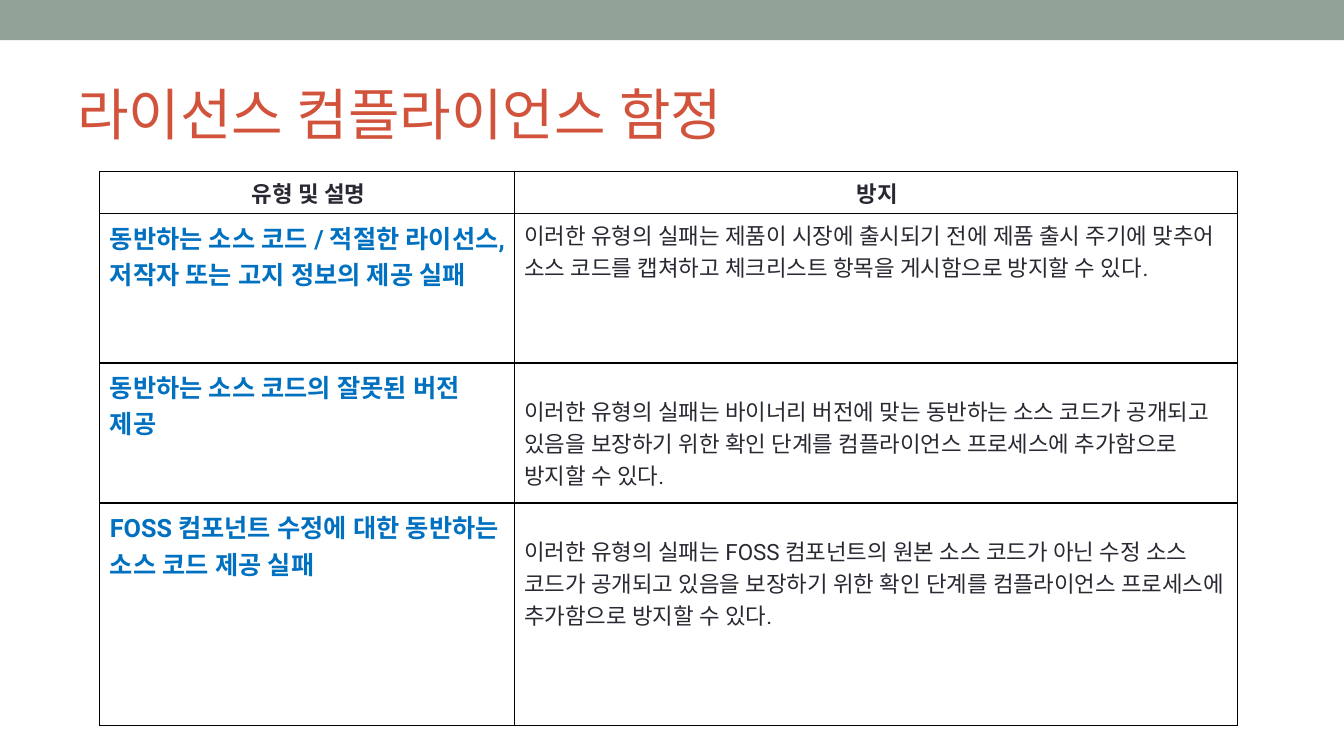
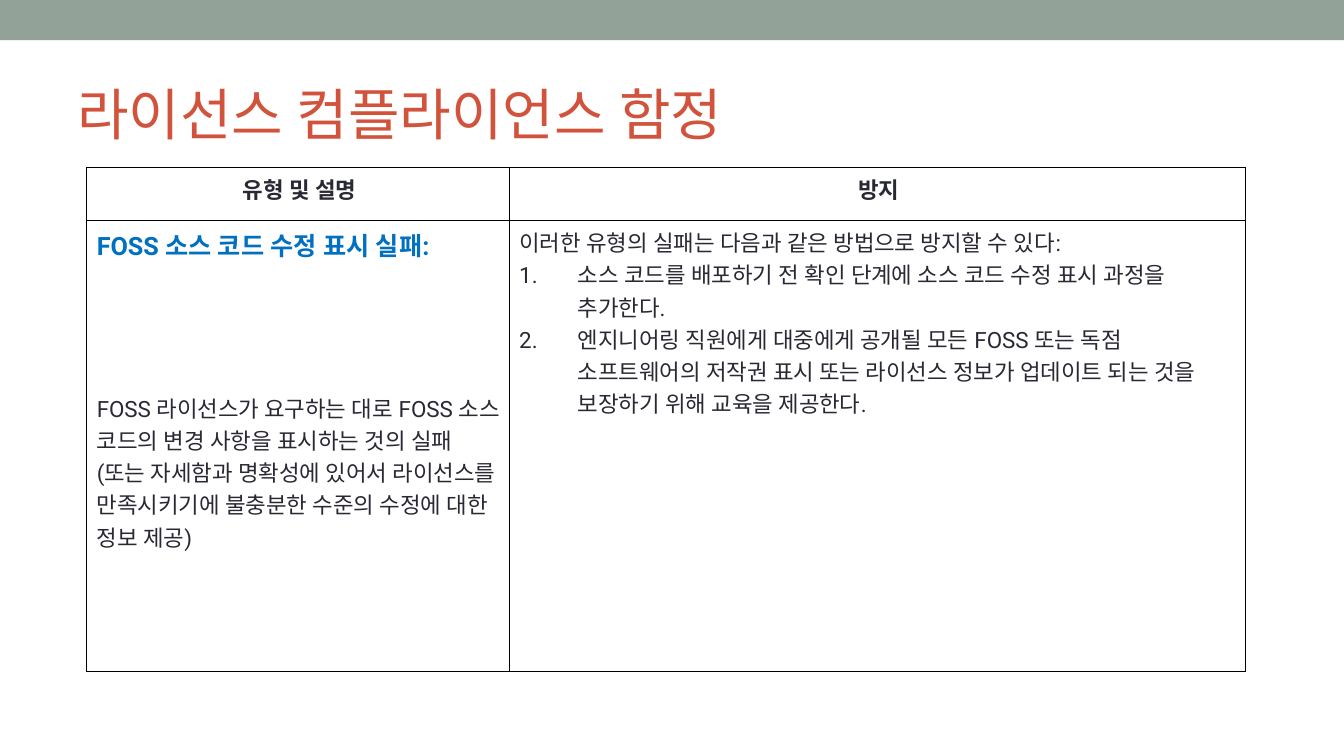
"""Build two slides on licence compliance pitfalls, each with a bordered table."""
from lxml.etree import SubElement
from pptx import Presentation
from pptx.dml.color import RGBColor
from pptx.enum.shapes import MSO_SHAPE as Shape
from pptx.enum.text import MSO_ANCHOR as Anchor, PP_ALIGN as Align
from pptx.oxml.ns import qn
from pptx.util import Inches, Pt

COLOURS = {
    "band": "93A299",
    "title": "D2533C",
    "text": "292934",
    "topic": "0070C0",
    "border": "000000",
}
FONT = "Roboto"
TITLE = "라이선스 컴플라이언스 함정"
HEADERS = ["유형 및 설명", "방지"]
STYLES = {
    "title": (40, "title", False, 1),
    "header": (16, "text", True, 1.24),
    "topic": (18, "topic", True, 1.24),
    "body": (16, "text", False, 1.24),
    "numbered": (16, "text", False, 1.24),
}
TOP_MARGIN = 0.04
LOWERED_MARGIN = 0.3
RIGHT_MARGIN = 0.07

TABLES = [
    {
        "at": (0.99, 1.7),
        "columns": [4.11, 7.17],
        "heights": [0.42, 1.48, 1.39, 2.21],
        "topic_gap": 0,
        "margins": [TOP_MARGIN, LOWERED_MARGIN, LOWERED_MARGIN],
        "rows": [
            [
                [("topic", "동반하는 소스 코드 / 적절한 라이선스, 저작자 또는 고지 정보의 제공 실패")],
                [("body", "이러한 유형의 실패는 제품이 시장에 출시되기 전에 제품 출시 주기에 맞추어 "
                          "소스 코드를 캡쳐하고 체크리스트 항목을 게시함으로 방지할 수 있다.")],
            ],
            [
                [("topic", "동반하는 소스 코드의 잘못된 버전 제공")],
                [("body", "이러한 유형의 실패는 바이너리 버전에 맞는 동반하는 소스 코드가 공개되고 "
                          "있음을 보장하기 위한 확인 단계를 컴플라이언스 프로세스에 추가함으로 "
                          "방지할 수 있다.")],
            ],
            [
                [("topic", "FOSS 컴포넌트 수정에 대한 동반하는 소스 코드 제공 실패")],
                [("body", "이러한 유형의 실패는 FOSS 컴포넌트의 원본 소스 코드가 아닌 수정 소스 "
                          "코드가 공개되고 있음을 보장하기 위한 확인 단계를 컴플라이언스 프로세스에 "
                          "추가함으로 방지할 수 있다.")],
            ],
        ],
    },
    {
        "at": (0.86, 1.66),
        "columns": [4.19, 7.3],
        "heights": [0.53, 4.47],
        "topic_gap": 92,
        "margins": [TOP_MARGIN],
        "rows": [
            [
                [("topic", "FOSS 소스 코드 수정 표시 실패:"),
                 ("body", "FOSS 라이선스가 요구하는 대로 FOSS 소스 코드의 변경 사항을 표시하는 것의 "
                          "실패 (또는 자세함과 명확성에 있어서 라이선스를 만족시키기에 불충분한 "
                          "수준의 수정에 대한 정보 제공)")],
                [("body", "이러한 유형의 실패는 다음과 같은 방법으로 방지할 수 있다:"),
                 ("numbered", "소스 코드를 배포하기 전 확인 단계에 소스 코드 수정 표시 과정을 추가한다."),
                 ("numbered", "엔지니어링 직원에게 대중에게 공개될 모든 FOSS 또는 독점 소프트웨어의 "
                              "저작권 표시 또는 라이선스 정보가 업데이트 되는 것을 보장하기 위해 "
                              "교육을 제공한다.")],
            ],
        ],
    },
]


def write_paragraphs(text_frame, entries, topic_gap=0):
    for index, (style, text) in enumerate(entries):
        paragraph = text_frame.add_paragraph() if index else text_frame.paragraphs[0]
        paragraph.text = text
        paragraph.alignment = Align.CENTER if style == "header" else Align.LEFT
        size, colour, bold, spacing = STYLES[style]
        paragraph.line_spacing = float(spacing)
        font = paragraph.font
        font.size, font.bold, font.name = Pt(size), bold, FONT
        font.color.rgb = RGBColor.from_string(COLOURS[colour])
        if index and entries[index - 1][0] == "topic":
            paragraph.space_before = Pt(topic_gap)
        properties = paragraph._p.pPr
        defaults = properties.find(qn("a:defRPr"))
        SubElement(defaults, qn("a:ea"), typeface=FONT)
        if style == "numbered":
            properties.set("marL", str(Inches(0.58)))
            properties.set("indent", str(-Inches(0.58)))
            numbering = SubElement(properties, qn("a:buAutoNum"), type="arabicPeriod")
            defaults.addprevious(numbering)


def style_cell(cell, top_margin):
    cell.margin_top = Inches(top_margin)
    cell.margin_right = Inches(RIGHT_MARGIN)
    properties = cell._tc.get_or_add_tcPr()
    for side in ("lnL", "lnR", "lnT", "lnB"):
        line = SubElement(properties, qn(f"a:{side}"), w=str(Pt(1)))
        fill = SubElement(line, qn("a:solidFill"))
        SubElement(fill, qn("a:srgbClr"), val=COLOURS["border"])
    cell.fill.background()


presentation = Presentation()
presentation.slide_width = Inches(13.33)
presentation.slide_height = Inches(7.5)

for content in TABLES:
    slide = presentation.slides.add_slide(presentation.slide_layouts[6])

    band = slide.shapes.add_shape(Shape.RECTANGLE, 0, 0, presentation.slide_width, Inches(0.4))
    band.shadow.inherit = False
    band.fill.solid()
    band.fill.fore_color.rgb = RGBColor.from_string(COLOURS["band"])
    band.line.fill.background()

    title = slide.shapes.add_textbox(Inches(0.67), Inches(0.58), Inches(12), Inches(1.08))
    title.text_frame.word_wrap = True
    title.text_frame.vertical_anchor = Anchor.MIDDLE
    write_paragraphs(title.text_frame, [("title", TITLE)])

    left, top = content["at"]
    columns, heights = content["columns"], content["heights"]
    table = slide.shapes.add_table(
        len(heights), len(columns), Inches(left), Inches(top),
        Inches(sum(columns)), Inches(sum(heights))).table
    table.first_row = table.horz_banding = False
    for column, width in zip(table.columns, columns):
        column.width = Inches(width)
    for row, height in zip(table.rows, heights):
        row.height = Inches(height)

    rows = [[[("header", header)] for header in HEADERS]] + content["rows"]
    margins = [TOP_MARGIN] + content["margins"]
    for row, entries_by_column, body_margin in zip(table.rows, rows, margins):
        for cell, entries, margin in zip(row.cells, entries_by_column, (TOP_MARGIN, body_margin)):
            style_cell(cell, margin)
            write_paragraphs(cell.text_frame, entries, content["topic_gap"])

presentation.save("out.pptx")
